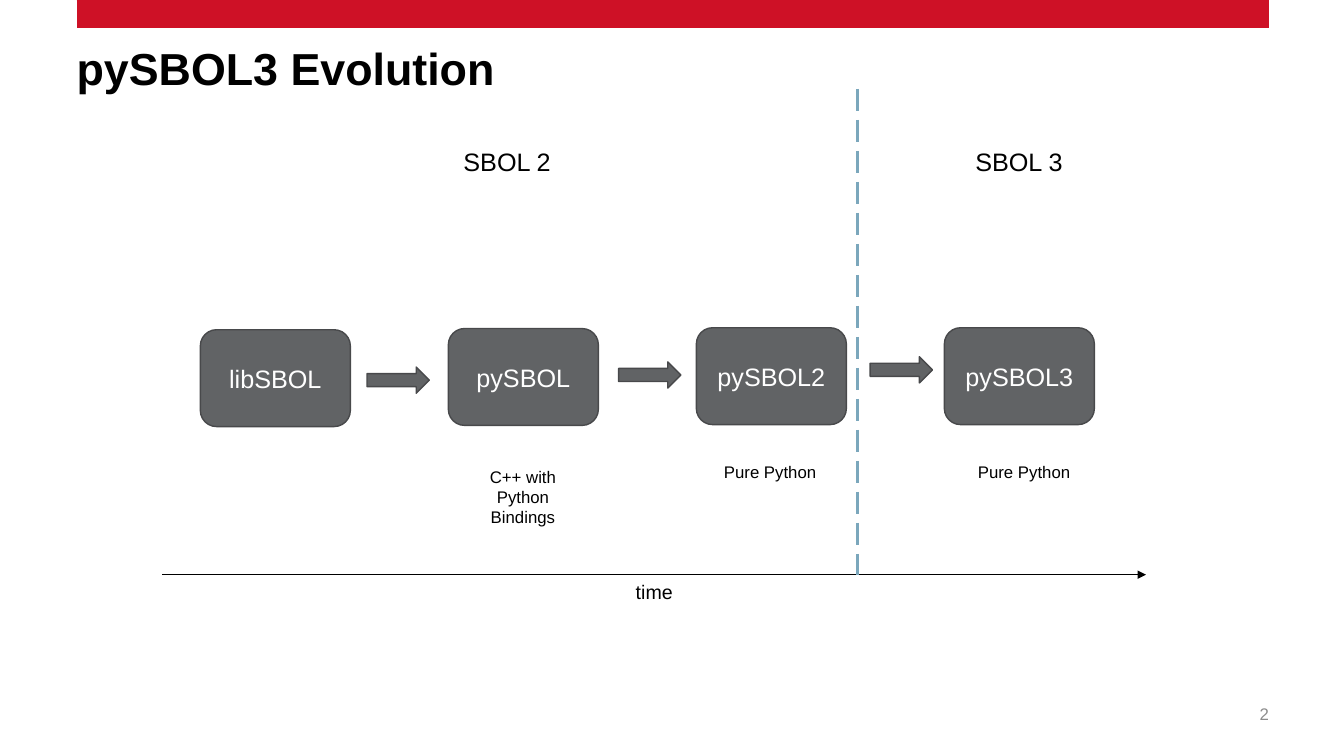
from lxml import etree
from pptx import Presentation
from pptx.dml.color import RGBColor
from pptx.enum.dml import MSO_LINE
from pptx.enum.shapes import MSO_CONNECTOR, MSO_SHAPE
from pptx.enum.text import MSO_ANCHOR, PP_ALIGN
from pptx.oxml.ns import qn
from pptx.util import Cm, Pt

LEFT, MID, RIGHT = PP_ALIGN.LEFT, PP_ALIGN.CENTER, PP_ALIGN.RIGHT
TOP, MIDDLE = MSO_ANCHOR.TOP, MSO_ANCHOR.MIDDLE
ROUND, ARROW = MSO_SHAPE.ROUNDED_RECTANGLE, MSO_SHAPE.RIGHT_ARROW
STRAIGHT, DASH = MSO_CONNECTOR.STRAIGHT, MSO_LINE.LONG_DASH
FONT = "Arial"
COLORS = {
    "red": "CE1126", "gray": "616365", "edge": "48494B", "blue": "7BA7BC",
    "black": "000000", "white": "FFFFFF", "pale": "8C8C8C",
}


def color(name):
    return RGBColor.from_string(COLORS[name])


def write(frame, text, size, tint="black", align=MID, bold=False):
    para = frame.paragraphs[0]
    para.alignment = align
    run = para.add_run()
    run.text = text
    font = run.font
    font.name, font.size, font.bold = FONT, Pt(size), bold
    font.color.rgb = color(tint)
    return para


def add_text(slide, area, text, size, tint="black", align=MID,
             bold=False, wrap=True, inset=True):
    frame = slide.shapes.add_textbox(*map(Cm, area)).text_frame
    frame.word_wrap = wrap
    frame.vertical_anchor = TOP
    if not inset:
        frame.margin_left = frame.margin_right = 0
        frame.margin_top = frame.margin_bottom = 0
    return write(frame, text, size, tint, align, bold)


def add_block(slide, kind, area):
    block = slide.shapes.add_shape(kind, *map(Cm, area))
    block.shadow.inherit = False
    block.fill.solid()
    block.fill.fore_color.rgb = color("gray")
    block.line.color.rgb = color("edge")
    block.line.width = Pt(1)
    return block


def add_line(slide, ends, tint, width, dash=None, head=False):
    link = slide.shapes.add_connector(STRAIGHT, *map(Cm, ends))
    link.line.color.rgb = color(tint)
    link.line.width = Pt(width)
    if dash:
        link.line.dash_style = dash
    if head:
        tail = etree.SubElement(link.line._get_or_add_ln(), qn("a:tailEnd"))
        tail.set("type", "triangle")
    etree.SubElement(link._element.spPr, qn("a:effectLst"))


def main():
    deck = Presentation()
    deck.slide_width, deck.slide_height = Cm(33.87), Cm(19.05)
    slide = deck.slides.add_slide(deck.slide_layouts[6])

    # Top bar, title and page number
    add_line(slide, (1.93, 0.36, 31.98, 0.36), "red", 20)
    title = add_text(slide, (1.93, 1.3, 30.02, 1.88), "pySBOL3 Evolution",
                     32, align=LEFT, bold=True, inset=False)
    title.line_spacing = 0.8
    add_text(slide, (30.51, 17.73, 1.47, 1.02), "2", 12, "pale", RIGHT,
             inset=False)

    # Time axis and the border between the standards
    add_line(slide, (4.09, 14.48, 28.88, 14.48), "black", 1, head=True)
    add_text(slide, (15.04, 14.48, 2.9, 0.86), "time", 14)
    add_line(slide, (21.62, 2.24, 21.62, 14.48), "blue", 2, DASH)
    for text, left in (("SBOL 2", 11.43), ("SBOL 3", 24.33)):
        add_text(slide, (left, 3.56, 2.74, 1.02), text, 18, align=LEFT,
                 wrap=False)

    # Library releases
    tops = {"libSBOL": 8.31, "pySBOL": 8.28, "pySBOL2": 8.26, "pySBOL3": 8.26}
    for i, (name, top) in enumerate(tops.items()):
        block = add_block(slide, ROUND, (5.05 + 6.25 * i, top, 3.78, 2.44))
        block.text_frame.vertical_anchor = MIDDLE
        write(block.text_frame, name, 18, "white")

    # Arrows between releases
    for i in range(len(tops) - 1):
        add_block(slide, ARROW, (9.25 + 6.34 * i, 9.25 - 0.13 * i, 1.57, 0.66))

    # Notes under the releases
    for text, left, top, high in (
        ("C++ with Python Bindings", 11.73, 11.63, 1.8),
        ("Pure Python", 17.96, 11.51, 0.76),
        ("Pure Python", 24.36, 11.51, 0.76),
    ):
        add_text(slide, (left, top, 2.9, high), text, 12)

    deck.save("out.pptx")


if __name__ == "__main__":
    main()
